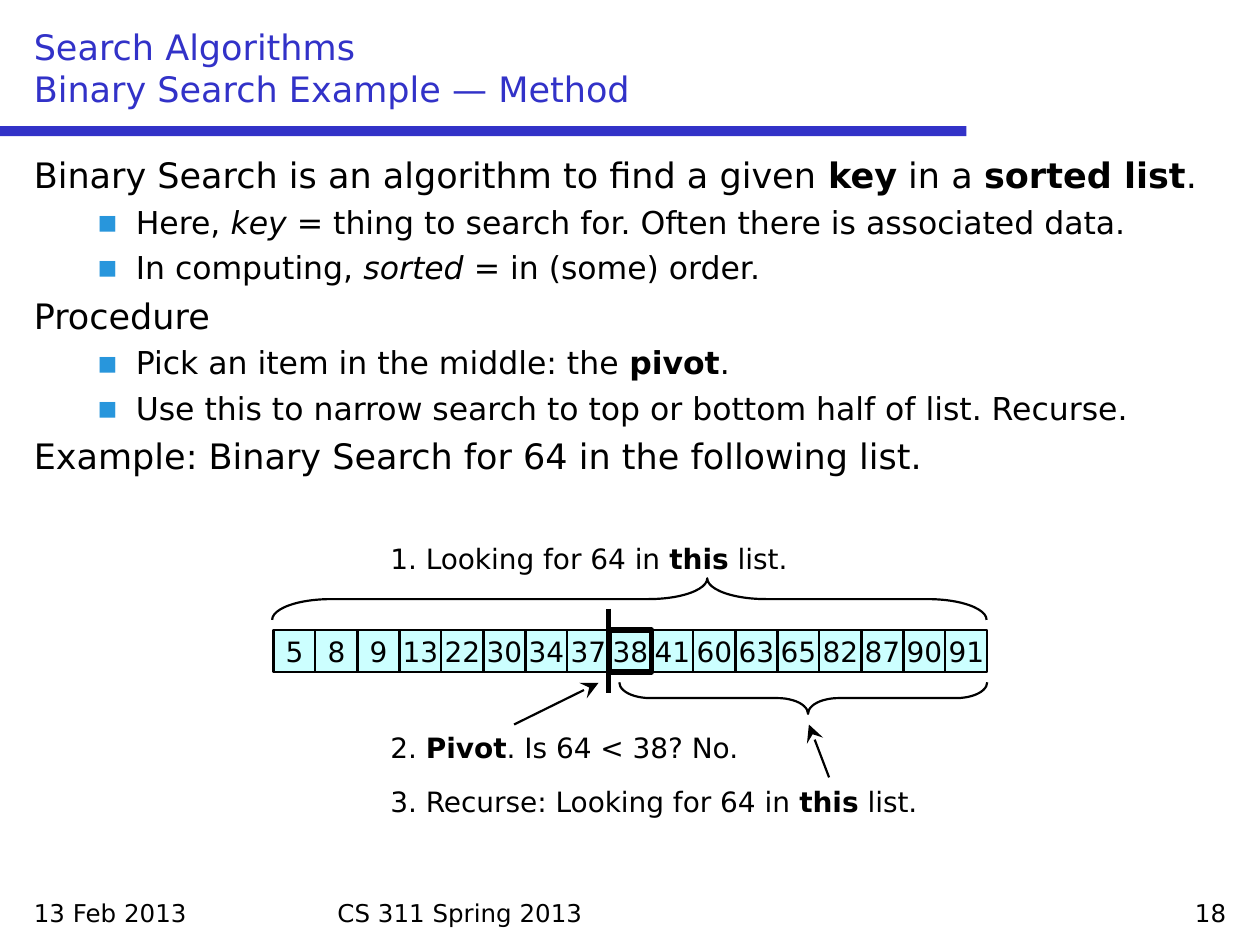
"""Build a slide that explains the method of binary search with an example."""
import pptx
import pptx.dml.color
import pptx.enum.shapes
import pptx.enum.text
import pptx.oxml.ns
import pptx.util
from lxml import etree

Inches = pptx.util.Inches
Pt = pptx.util.Pt
SHAPE = pptx.enum.shapes.MSO_SHAPE
ALIGN = pptx.enum.text.PP_ALIGN
ANCHOR = pptx.enum.text.MSO_ANCHOR
qn = pptx.oxml.ns.qn

FONT = "DejaVu Sans"
COLORS = {"blue": "3232C8", "bullet": "2896DC", "cell": "CCFFFF", "ink": "000000"}

TITLE = "Search Algorithms\vBinary Search Example — Method"
BODY = [
    (0, [("Binary Search is an algorithm to find a given ", ""), ("key", "b"),
         (" in a ", ""), ("sorted list", "b"), (".", "")]),
    (1, [("Here, ", ""), ("key", "i"),
         (" = thing to search for. Often there is associated data.", "")]),
    (1, [("In computing, ", ""), ("sorted", "i"), (" = in (some) order.", "")]),
    (0, [("Procedure", "")]),
    (1, [("Pick an item in the middle: the ", ""), ("pivot", "b"), (".", "")]),
    (1, [("Use this to narrow search to top or bottom half of list. Recurse.", "")]),
    (0, [("Example: Binary Search for 64 in the following list.", "")]),
]
LEVELS = [{"size": 20, "gap": 4.7}, {"size": 18, "gap": 4.2}]
FOOTER = [
    ("13 Feb 2013", 0.17, 2.33, ALIGN.LEFT),
    ("CS 311 Spring 2013", 2.58, 4.83, ALIGN.LEFT),
    ("18", 7.5, 2.33, ALIGN.RIGHT),
]
STEPS = [
    (4.25, 3.5, [("1. Looking for 64 in ", ""), ("this", "b"), (" list.", "")]),
    (5.75, 3.08, [("2. ", ""), ("Pivot", "b"), (". Is 64 < 38? No.", "")]),
    (6.18, 5.33, [("3. Recurse: Looking for 64 in ", ""), ("this", "b"), (" list.", "")]),
]
ITEMS = [5, 8, 9, 13, 22, 30, 34, 37, 38, 41, 60, 63, 65, 82, 87, 90, 91]
PIVOT = len(ITEMS) // 2
SIDE = 1 / 3
LEFT, TOP = 2.17, 5
THIN, THICK = 1.25, 3
BRACES = [
    (4.83, 1.92, 0.33, 5.67, 90, (1.417, 0.391)),
    (6.25, 4.08, 0.25, 2.92, 270, (0.972, 0.513)),
]
LINES = [
    (4.08, 5.75, 4.75, 5.42, THIN, True),
    (6.58, 6.17, 6.42, 5.75, THIN, True),
    (4.83, 4.83, 4.83, 5.5, THICK, False),
]


def color(name):
    return pptx.dml.color.RGBColor.from_string(COLORS[name])


def style(font, size, hue="ink"):
    font.name = FONT
    font.size = Pt(size)
    font.color.rgb = color(hue)


def write(para, runs, size, hue="ink"):
    for text, mark in runs:
        run = para.add_run()
        run.text = text
        style(run.font, size, hue)
        run.font.bold = mark == "b"
        run.font.italic = mark == "i"


def add_box(slide, left, top, width, height):
    box = slide.shapes.add_textbox(*map(Inches, (left, top, width, height)))
    box.text_frame.word_wrap = True
    return box.text_frame


def add_shape(slide, kind, place, fill=None, line=None):
    shape = slide.shapes.add_shape(kind, *map(Inches, place))
    shape.shadow.inherit = False
    if fill:
        shape.fill.solid()
        shape.fill.fore_color.rgb = color(fill)
    else:
        shape.fill.background()
    if line:
        shape.line.color.rgb = color("ink")
        shape.line.width = Pt(line)
    else:
        shape.line.fill.background()
    return shape


def add_title(slide):
    frame = add_box(slide, 0.17, 0.17, 9.67, 0.75)
    frame.vertical_anchor = ANCHOR.BOTTOM
    para = frame.paragraphs[0]
    para.text = TITLE
    for run in para.runs:
        style(run.font, 20, "blue")


def add_bullet(para):
    props = para._p.get_or_add_pPr()
    props.set("marL", str(Inches(0.81)))
    props.set("indent", str(Inches(-0.31)))
    hue = etree.SubElement(props, qn("a:buClr"))
    etree.SubElement(hue, qn("a:srgbClr"), val=COLORS["bullet"])
    etree.SubElement(props, qn("a:buFont"), typeface=FONT)
    etree.SubElement(props, qn("a:buChar"), char="▪")


def add_body(slide):
    frame = add_box(slide, 0.17, 1.17, 9.67, 5.83)
    for row, (level, runs) in enumerate(BODY):
        para = frame.add_paragraph() if row else frame.paragraphs[0]
        if level:
            para.level = level
            add_bullet(para)
        if row:
            para.space_before = Pt(LEVELS[level]["gap"])
        write(para, runs, LEVELS[level]["size"])


def add_cell(slide, spot):
    place = (LEFT + spot * SIDE, TOP, SIDE, SIDE)
    cell = add_shape(slide, SHAPE.RECTANGLE, place, "cell",
                     THICK if spot == PIVOT else THIN)
    frame = cell.text_frame
    frame.word_wrap = False
    frame.vertical_anchor = ANCHOR.MIDDLE
    frame.text = str(ITEMS[spot])
    para = frame.paragraphs[0]
    para.alignment = ALIGN.CENTER
    style(para.runs[0].font, 16)


def add_brace(slide, left, top, width, height, turn, bends):
    brace = add_shape(slide, SHAPE.LEFT_BRACE, (left, top, width, height), line=THIN)
    brace.rotation = turn
    for spot, bend in enumerate(bends):
        brace.adjustments[spot] = bend


def add_line(slide, x1, y1, x2, y2, width, arrow):
    line = slide.shapes.add_connector(
        pptx.enum.shapes.MSO_CONNECTOR.STRAIGHT, *map(Inches, (x1, y1, x2, y2)))
    line.line.color.rgb = color("ink")
    line.line.width = Pt(width)
    if arrow:
        etree.SubElement(line.line._get_or_add_ln(), qn("a:tailEnd"),
                         type="stealth", w="lg", len="lg")
    etree.SubElement(line._element.spPr, qn("a:effectLst"))


def main():
    deck = pptx.Presentation()
    deck.slide_width, deck.slide_height = Inches(10), Inches(7.5)
    slide = deck.slides.add_slide(deck.slide_layouts[6])

    add_shape(slide, SHAPE.RECTANGLE, (0, 1, 7.67, 0.08), "blue")
    add_title(slide)
    add_body(slide)
    for text, left, width, align in FOOTER:
        para = add_box(slide, left, 7.08, width, 0.33).paragraphs[0]
        para.alignment = align
        write(para, [(text, "")], 14)

    for spot in sorted(range(len(ITEMS)), key=lambda spot: spot == PIVOT):
        add_cell(slide, spot)
    for top, width, runs in STEPS:
        write(add_box(slide, 3, top, width, 0.37).paragraphs[0], runs, 16)
    for brace in BRACES:
        add_brace(slide, *brace)
    for line in LINES:
        add_line(slide, *line)

    deck.save("out.pptx")


if __name__ == "__main__":
    main()
